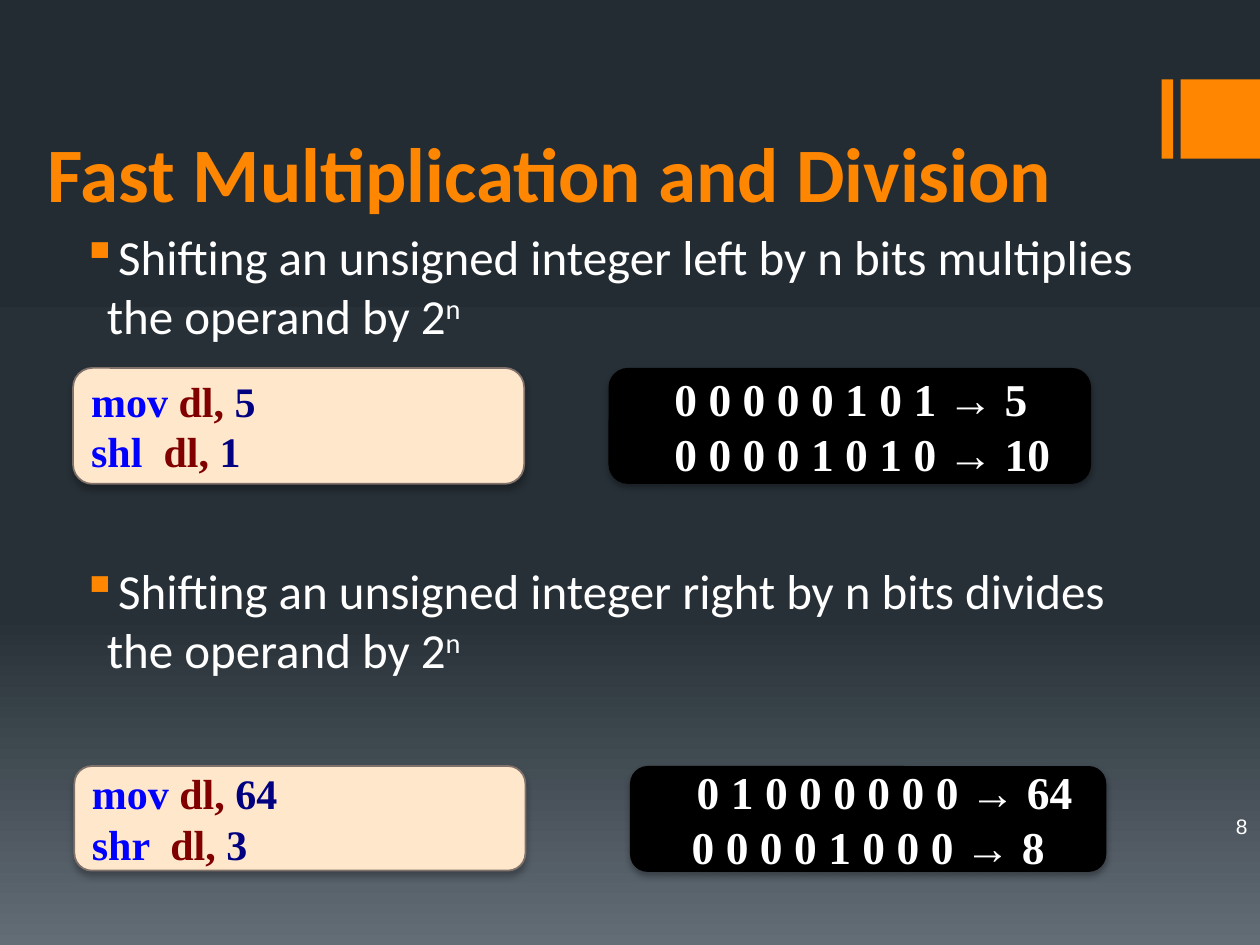
"""Build the slide on fast multiplication and division by shifting."""
import copy
import pptx
import pptx.util
import pptx.dml.color
import pptx.enum.shapes
import pptx.enum.text
import pptx.oxml
import pptx.oxml.ns

Inches, Pt = pptx.util.Inches, pptx.util.Pt
RGB = pptx.dml.color.RGBColor
Shape = pptx.enum.shapes.MSO_SHAPE
Anchor = pptx.enum.text.MSO_ANCHOR
Align = pptx.enum.text.PP_ALIGN
qn = pptx.oxml.ns.qn

ORANGE = RGB(0xFF, 0x86, 0x00)
WHITE = RGB(0xFF, 0xFF, 0xFF)
BLACK = RGB(0, 0, 0)
CREAM = RGB(0xFF, 0xE7, 0xCC)
BROWN = RGB(0x80, 0x71, 0x6A)
BLUE = RGB(0, 0, 0xFF)
MAROON = RGB(0x80, 0, 0)
NAVY = RGB(0, 0, 0x80)

STOPS = [(0, RGB(0x24, 0x2C, 0x33)), (0.65, RGB(0x27, 0x30, 0x37)),
         (1, RGB(0x63, 0x6D, 0x76))]
BARS = [(9.22, 0.09), (9.37, 0.63)]
TITLE = "Fast Multiplication and Division"
BULLETS = [
    (1.75, "Shifting an unsigned integer left by n bits multiplies the operand by 2"),
    (4.4, "Shifting an unsigned integer right by n bits divides the operand by 2"),
]
CODE = [
    ((0.58, 2.92, 3.58, 0.92), [("mov ", "dl, ", "5"), ("shl  ", "dl, ", "1")]),
    ((0.59, 6.08, 3.58, 0.83), [("mov ", "dl, ", "64"), ("shr  ", "dl, ", "3")]),
]
BITS = [
    ((4.83, 2.92, 3.83, 0.92),
     [("0 0 0 0 0 1 0 1 → 5", 0.38), ("0 0 0 0 1 0 1 0 → 10", 0.38)]),
    ((5, 6.08, 3.78, 0.84),
     [("0 1 0 0 0 0 0 0 → 64", 0.39), ("0 0 0 0 1 0 0 0 → 8", 0.35)]),
]

deck = pptx.Presentation()
deck.slide_width, deck.slide_height = Inches(10), Inches(7.5)
slide = deck.slides.add_slide(deck.slide_layouts[6])


def style(run, font, size, color, bold=False):
    run.font.name, run.font.size = font, Pt(size)
    run.font.color.rgb, run.font.bold = color, bold


def write(para, parts, font, size, bold=False):
    for text, color in parts:
        run = para.add_run()
        run.text = text
        style(run, font, size, color, bold)


def label(box, anchor):
    frame = slide.shapes.add_textbox(*map(Inches, box)).text_frame
    frame.word_wrap, frame.vertical_anchor = True, anchor
    return frame.paragraphs[0]


def block(kind, box, fill, line=None):
    shape = slide.shapes.add_shape(kind, *map(Inches, box))
    shape.shadow.inherit = False
    shape.fill.solid()
    shape.fill.fore_color.rgb = fill
    if line is None:
        shape.line.fill.background()
    else:
        shape.line.color.rgb, shape.line.width = line, Pt(1)
    return shape


def shade(shape, alpha, blur, dist):
    glow = shape.element.spPr.find(qn("a:effectLst"))
    glow.append(pptx.oxml.parse_xml(
        f'<a:outerShdw {pptx.oxml.ns.nsdecls("a")} blurRad="{Pt(blur)}" '
        f'dist="{Pt(dist)}" dir="5400000" rotWithShape="0"><a:srgbClr val="000000">'
        f'<a:alpha val="{alpha * 1000}"/></a:srgbClr></a:outerShdw>'))


def indent(para, left, first=0):
    props = para._p.get_or_add_pPr()
    props.set("marL", str(Inches(left)))
    props.set("indent", str(Inches(first)))
    return props


def panel(box, fill, line, glow, rows):
    shape = block(Shape.ROUNDED_RECTANGLE, box, fill, line)
    shade(shape, *glow)
    frame = shape.text_frame
    frame.word_wrap, frame.vertical_anchor = True, Anchor.MIDDLE
    for num, (parts, left, size) in enumerate(rows):
        para = frame.add_paragraph() if num else frame.paragraphs[0]
        para.alignment = Align.LEFT
        indent(para, left)
        write(para, parts, "Times New Roman", size, True)


back = slide.background.fill
back.gradient()
back.gradient_angle = 270
first = next(slide.element.iter(qn("a:gs")))
first.addnext(copy.deepcopy(first))
for stop, (place, color) in zip(back.gradient_stops, STOPS):
    stop.position, stop.color.rgb = place, color

for left, width in BARS:
    block(Shape.RECTANGLE, (left, 0.63, width, 0.63), ORANGE)

write(label((0.28, 0.52, 8.79, 1.26), Anchor.BOTTOM), [(TITLE, ORANGE)],
      "Calibri", 44, True)

for top, text in BULLETS:
    para = label((0.5, top, 8.67, 1.1), Anchor.TOP)
    props = indent(para, 0.25, -0.2)
    for tag in ('buClr {}><a:srgbClr val="FF8600"/></a:buClr', 'buChar {} char="▪"/'):
        props.append(pptx.oxml.parse_xml(
            "<a:" + tag.format(pptx.oxml.ns.nsdecls("a")) + ">"))
    write(para, [(text, WHITE), ("n", WHITE)], "Calibri", 28)
    para.runs[1]._r.get_or_add_rPr().set("baseline", "30000")

para = label((9.33, 6.27, 0.67, 0.57), Anchor.MIDDLE)
para.alignment = Align.RIGHT
write(para, [("8", WHITE)], "Arial", 12)

for box, lines in CODE:
    panel(box, CREAM, BROWN, (28, 4, 3),
          [(zip(line, (BLUE, MAROON, NAVY)), 0, 24) for line in lines])
for box, lines in BITS:
    panel(box, BLACK, None, (32, 3.5, 2.2),
          [([(text, WHITE)], left, 26) for text, left in lines])

deck.save("out.pptx")
